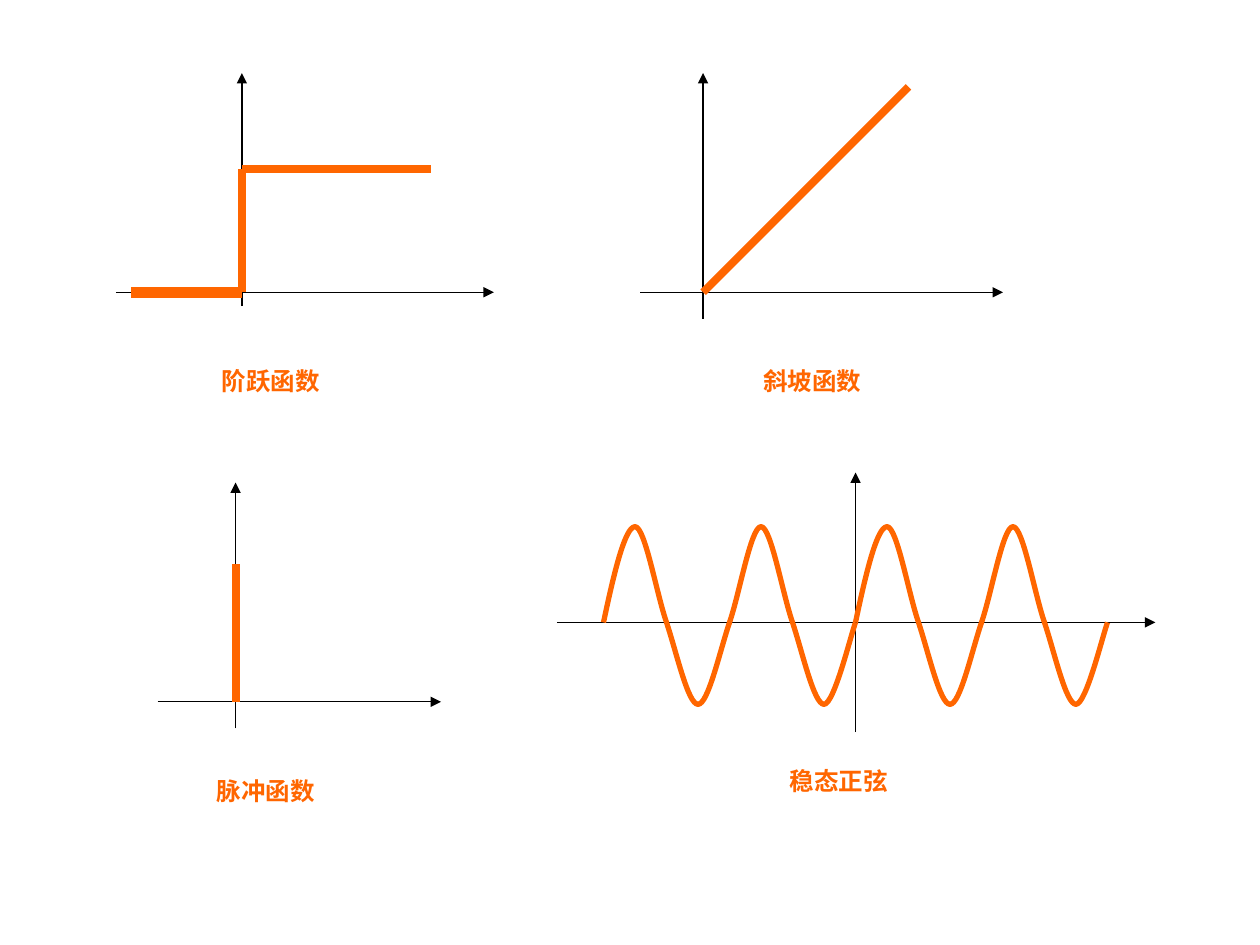
from dataclasses import dataclass

from lxml import etree
from pptx import Presentation
from pptx import util as u
from pptx.dml.color import RGBColor
from pptx.enum import shapes, text
from pptx.oxml import ns


@dataclass(frozen=True)
class Theme:
    axis: RGBColor = RGBColor(0, 0, 0)
    signal: RGBColor = RGBColor(0xFF, 0x66, 0x00)
    background: RGBColor = RGBColor(0xFF, 0xFF, 0xFF)
    font: str = "Times New Roman"
    label_size: int = 14
    axis_width: float = 0.75
    wave_width: float = 3


THEME = Theme()

PLOTS = [
    {
        "label": ("阶跃函数", 1.66, 2.86, 1),
        "origin": (1.92, 2.32), "x_axis": (0.92, 3.92), "y_axis": (2.43, 0.58),
        "segments": [
            ((1.04, 2.32), (1.92, 2.32), 6),
            ((1.92, 2.32), (1.92, 1.34), 4.5),
            ((1.92, 1.34), (3.42, 1.34), 4.5),
        ],
    },
    {
        "label": ("斜坡函数", 5.96, 2.86, 1),
        "origin": (5.58, 2.32), "x_axis": (5.08, 7.96), "y_axis": (2.53, 0.58),
        "segments": [((5.58, 2.32), (7.21, 0.69), 4.5)],
    },
    {
        "label": ("脉冲函数", 1.62, 6.11, 1),
        "origin": (1.87, 5.57), "x_axis": (1.25, 3.5), "y_axis": (5.78, 3.83),
        "segments": [((1.87, 5.57), (1.87, 4.48), 4.5)],
    },
    {
        "label": ("稳态正弦", 6.17, 6.03, 1.25),
        "origin": (6.79, 4.94), "x_axis": (4.42, 9.17), "y_axis": (5.81, 3.75),
        "segments": [],
        "wave_starts": [-2, 0],
    },
]

LABEL_HEIGHT = 0.43
CREST, TROUGH = -0.76, 0.65
WAVE_CURVES = [
    ((0.08, -0.38), (0.17, CREST), (0.25, CREST)),
    ((0.33, CREST), (0.42, -0.23), (0.5, 0)),
    ((0.58, 0.24), (0.67, TROUGH), (0.75, TROUGH)),
    ((0.83, TROUGH), (0.92, 0.24), (1, 0)),
    ((1.08, -0.23), (1.17, CREST), (1.25, CREST)),
    ((1.33, CREST), (1.42, -0.23), (1.5, 0)),
    ((1.58, 0.24), (1.67, TROUGH), (1.75, TROUGH)),
    ((1.83, TROUGH), (1.96, 0.11), (2, 0)),
]


def add_line(group, start, end, color, width, arrow=False):
    points = [u.Inches(value) for value in (*start, *end)]
    connector = group.shapes.add_connector(shapes.MSO_CONNECTOR.STRAIGHT, *points)
    connector.line.color.rgb = color
    connector.line.width = u.Pt(width)
    if arrow:
        outline = connector.line._get_or_add_ln()
        etree.SubElement(outline, ns.qn("a:tailEnd"), type="triangle")
    etree.SubElement(connector._element.spPr, ns.qn("a:effectLst"))


def join_as_curves(shape):
    lines = list(shape._element.iter(ns.qn("a:lnTo")))
    for first, second, third in zip(lines[::3], lines[1::3], lines[2::3]):
        curve = etree.Element(ns.qn("a:cubicBezTo"))
        first.addprevious(curve)
        for line in (first, second, third):
            curve.append(line[0])
            line.getparent().remove(line)


def add_wave(group, left, middle):
    points = [
        (u.Inches(left + x), u.Inches(middle + y))
        for curve in WAVE_CURVES
        for x, y in curve
    ]
    builder = group.shapes.build_freeform(u.Inches(left), u.Inches(middle))
    builder.add_line_segments(points, close=False)
    wave = builder.convert_to_shape()
    join_as_curves(wave)
    wave.shadow.inherit = False
    wave.fill.background()
    wave.line.color.rgb = THEME.signal
    wave.line.width = u.Pt(THEME.wave_width)


def add_label(group, caption, left, top, width):
    box = [u.Inches(value) for value in (left, top, width, LABEL_HEIGHT)]
    label = group.shapes.add_shape(shapes.MSO_SHAPE.RECTANGLE, *box)
    label.shadow.inherit = False
    label.fill.solid()
    label.fill.fore_color.rgb = THEME.background
    label.line.fill.background()
    frame = label.text_frame
    frame.word_wrap = True
    frame.vertical_anchor = text.MSO_ANCHOR.TOP
    paragraph = frame.paragraphs[0]
    paragraph.text = caption
    paragraph.alignment = text.PP_ALIGN.JUSTIFY
    paragraph.font.name = THEME.font
    paragraph.font.size = u.Pt(THEME.label_size)
    paragraph.font.bold = True
    paragraph.font.color.rgb = THEME.signal


def add_plot(slide, plot):
    group = slide.shapes.add_group_shape()
    origin_x, origin_y = plot["origin"]
    horizontal = [(x, origin_y) for x in plot["x_axis"]]
    vertical = [(origin_x, y) for y in plot["y_axis"]]
    for start, end in (horizontal, vertical):
        add_line(group, start, end, THEME.axis, THEME.axis_width, arrow=True)
    for start, end, width in plot["segments"]:
        add_line(group, start, end, THEME.signal, width)
    for offset in plot.get("wave_starts", []):
        add_wave(group, origin_x + offset, origin_y)
    add_label(group, *plot["label"])


def main():
    presentation = Presentation()
    presentation.slide_width = u.Inches(10)
    presentation.slide_height = u.Inches(7.5)
    slide = presentation.slides.add_slide(presentation.slide_layouts[6])
    for plot in PLOTS:
        add_plot(slide, plot)
    presentation.save("out.pptx")


if __name__ == "__main__":
    main()
